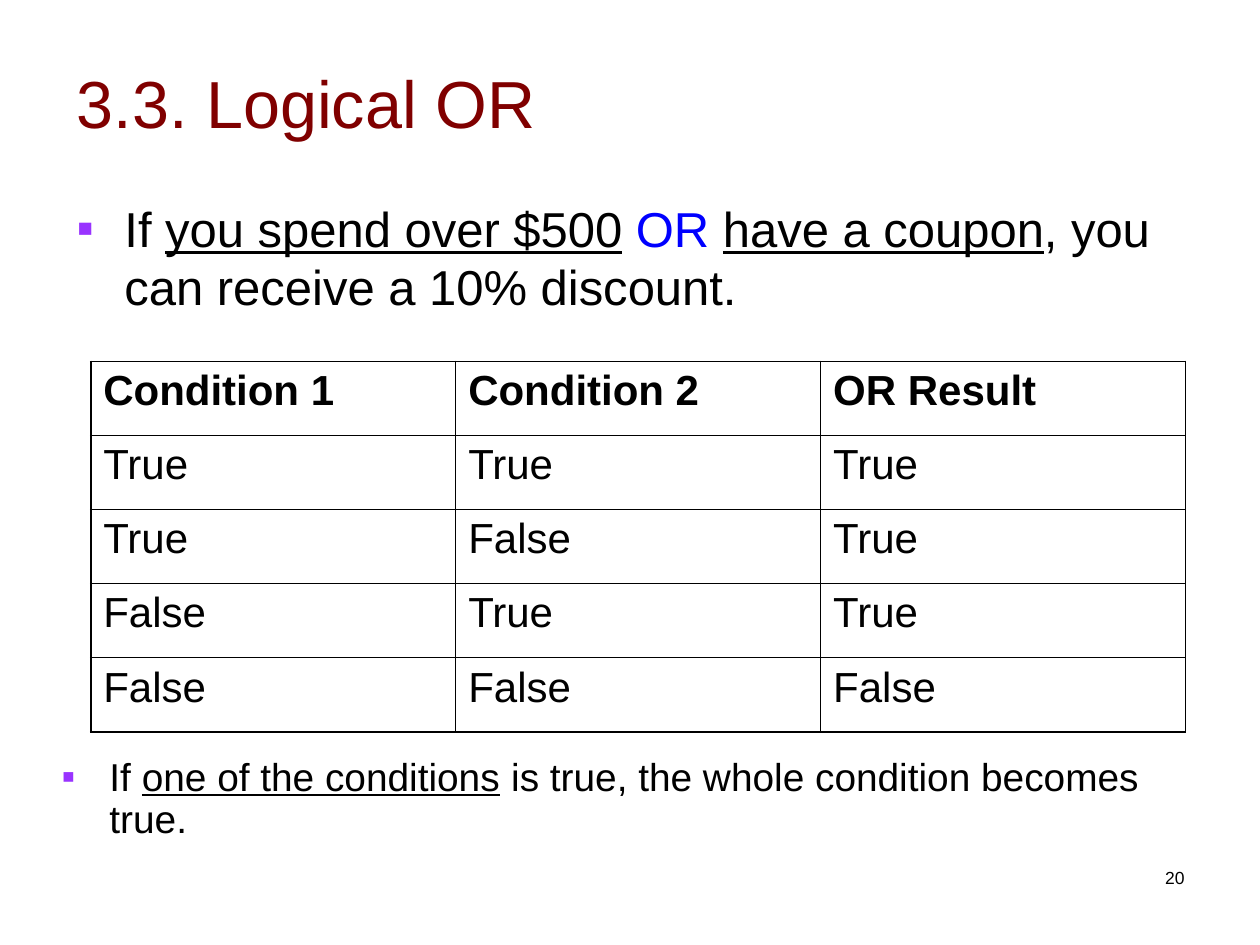
import pptx
import pptx.dml.color
import pptx.enum.text
import pptx.oxml.ns
import pptx.util
from lxml import etree

ALIGN = pptx.enum.text.PP_ALIGN
ANCHOR = pptx.enum.text.MSO_ANCHOR
qn = pptx.oxml.ns.qn


def color(hex_string):
    return pptx.dml.color.RGBColor.from_string(hex_string)


def write(text_frame, runs, size, fill="000000", bold=False, align=ALIGN.LEFT,
          anchor=ANCHOR.TOP, before=0, spacing=1, bullet=None):
    """Fill the first paragraph; each run is a text and its own format."""
    text_frame.word_wrap = True
    text_frame.auto_size = pptx.enum.text.MSO_AUTO_SIZE.NONE
    text_frame.vertical_anchor = anchor
    paragraph = text_frame.paragraphs[0]
    paragraph.alignment = align
    paragraph.space_before = pptx.util.Pt(before)
    paragraph.line_spacing = spacing
    if bullet:
        properties = paragraph._p.get_or_add_pPr()
        indent = pptx.util.Inches(0.38)
        properties.set("marL", str(indent))
        properties.set("indent", str(-indent))
        bullet_color = etree.SubElement(properties, qn("a:buClr"))
        etree.SubElement(bullet_color, qn("a:srgbClr"), val=bullet)
        etree.SubElement(properties, qn("a:buFont"), typeface="Arial")
        etree.SubElement(properties, qn("a:buChar"), char="▪")
    for text, style in runs:
        run = paragraph.add_run()
        run.text = text
        run.font.name = "Arial"
        run.font.size = pptx.util.Pt(size)
        run.font.bold = bold
        run.font.underline = style.get("underline", False)
        run.font.color.rgb = color(style.get("fill", fill))


presentation = pptx.Presentation()
presentation.slide_width = pptx.util.Inches(10)
presentation.slide_height = pptx.util.Inches(7.5)
column = presentation.slide_width // 100
row = presentation.slide_height // 100
slide = presentation.slides.add_slide(presentation.slide_layouts[5])

title = slide.shapes.title
title.left, title.top = int(5.1 * column), int(2.4 * row)
title.width, title.height = 90 * column, int(16.7 * row)
write(title.text_frame, [("3.3. Logical OR", {})], 38, fill="800000",
      anchor=ANCHOR.MIDDLE)

underlined = {"underline": True}
example = slide.shapes.add_textbox(
    int(5.1 * column), int(20.3 * row), 90 * column, 17 * row)
write(example.text_frame, [
    ("If ", {}),
    ("you spend over $500", underlined),
    (" ", {}),
    ("OR ", {"fill": "0000FF"}),
    ("have a coupon", underlined),
    (", you can receive a 10% discount.", {}),
], 28, before=7, bullet="9933FF")

truth_rows = [
    ["Condition 1", "Condition 2", "OR Result"],
    ["True", "True", "True"],
    ["True", "False", "True"],
    ["False", "True", "True"],
    ["False", "False", "False"],
]
last_row, last_column = len(truth_rows) - 1, len(truth_rows[0]) - 1
table = slide.shapes.add_table(
    len(truth_rows), len(truth_rows[0]), int(7.2 * column), int(38.25 * row),
    int(86.9 * column), int(39.2 * row)).table
table.first_row = table.horz_banding = False
for row_index, values in enumerate(truth_rows):
    for column_index, value in enumerate(values):
        cell = table.cell(row_index, column_index)
        write(cell.text_frame, [(value, {})], 24, bold=row_index == 0, before=6)
        outer_edges = {
            "a:lnL": column_index == 0,
            "a:lnR": column_index == last_column,
            "a:lnT": row_index == 0,
            "a:lnB": row_index == last_row,
        }
        cell_properties = cell._tc.get_or_add_tcPr()
        for edge, is_outer in outer_edges.items():
            line_width = pptx.util.Pt(1.08 if is_outer else 0.45)
            border = etree.SubElement(cell_properties, qn(edge), w=str(line_width))
            border_fill = etree.SubElement(border, qn("a:solidFill"))
            etree.SubElement(border_fill, qn("a:srgbClr"), val="000000")
        cell.fill.background()

conclusion = slide.shapes.add_textbox(
    int(3.9 * column), int(79.5 * row), int(93.2 * column), int(11.7 * row))
write(conclusion.text_frame, [
    ("If ", {}),
    ("one of the conditions", underlined),
    (" is true, the whole condition becomes true.", {}),
], 22.2, before=6, spacing=0.9, bullet="9933FF")

page_number = slide.shapes.add_textbox(
    int(71.7 * column), int(91.1 * row), int(23.3 * column), int(6.7 * row))
write(page_number.text_frame, [("20", {})], 10, align=ALIGN.RIGHT)

presentation.save("out.pptx")
